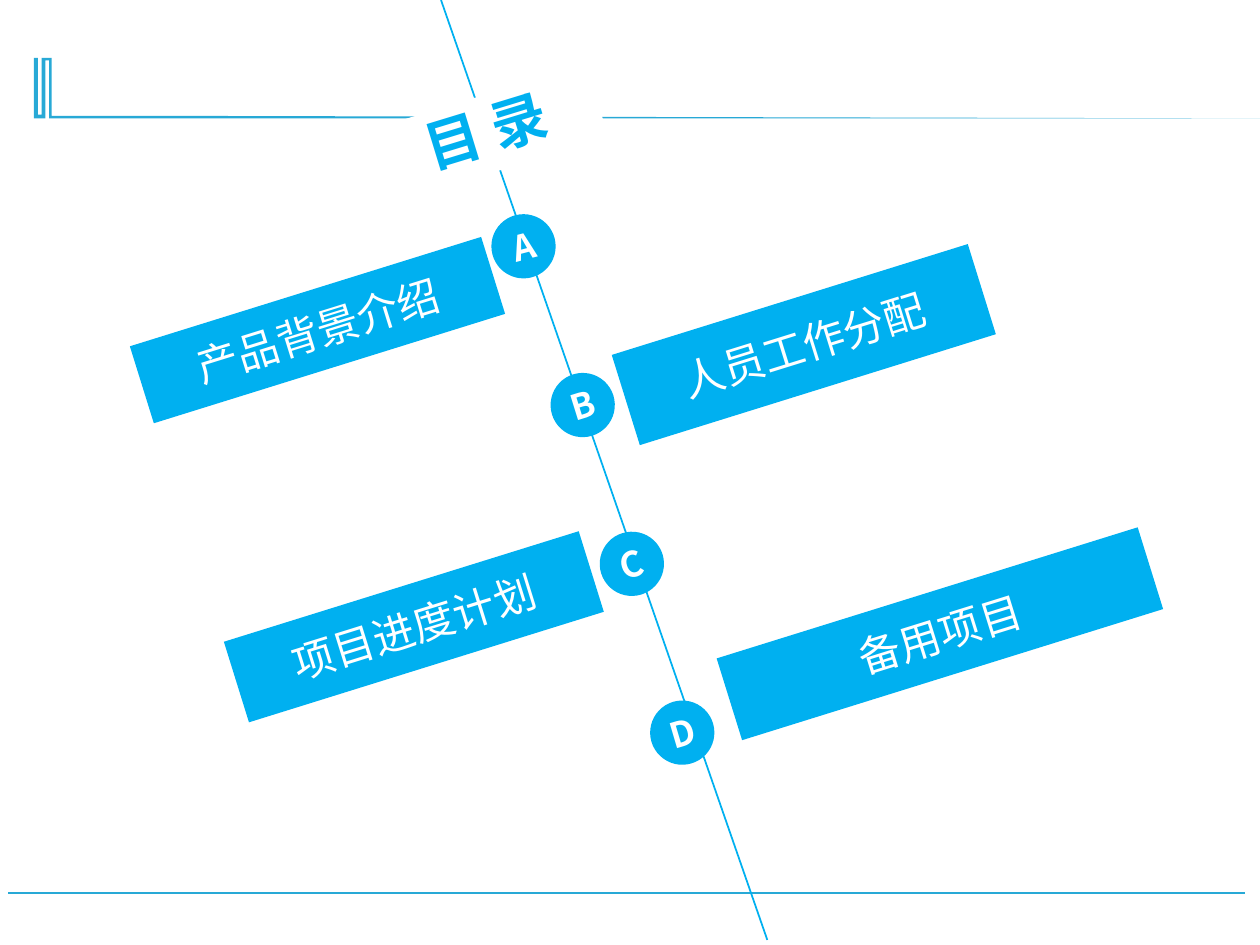
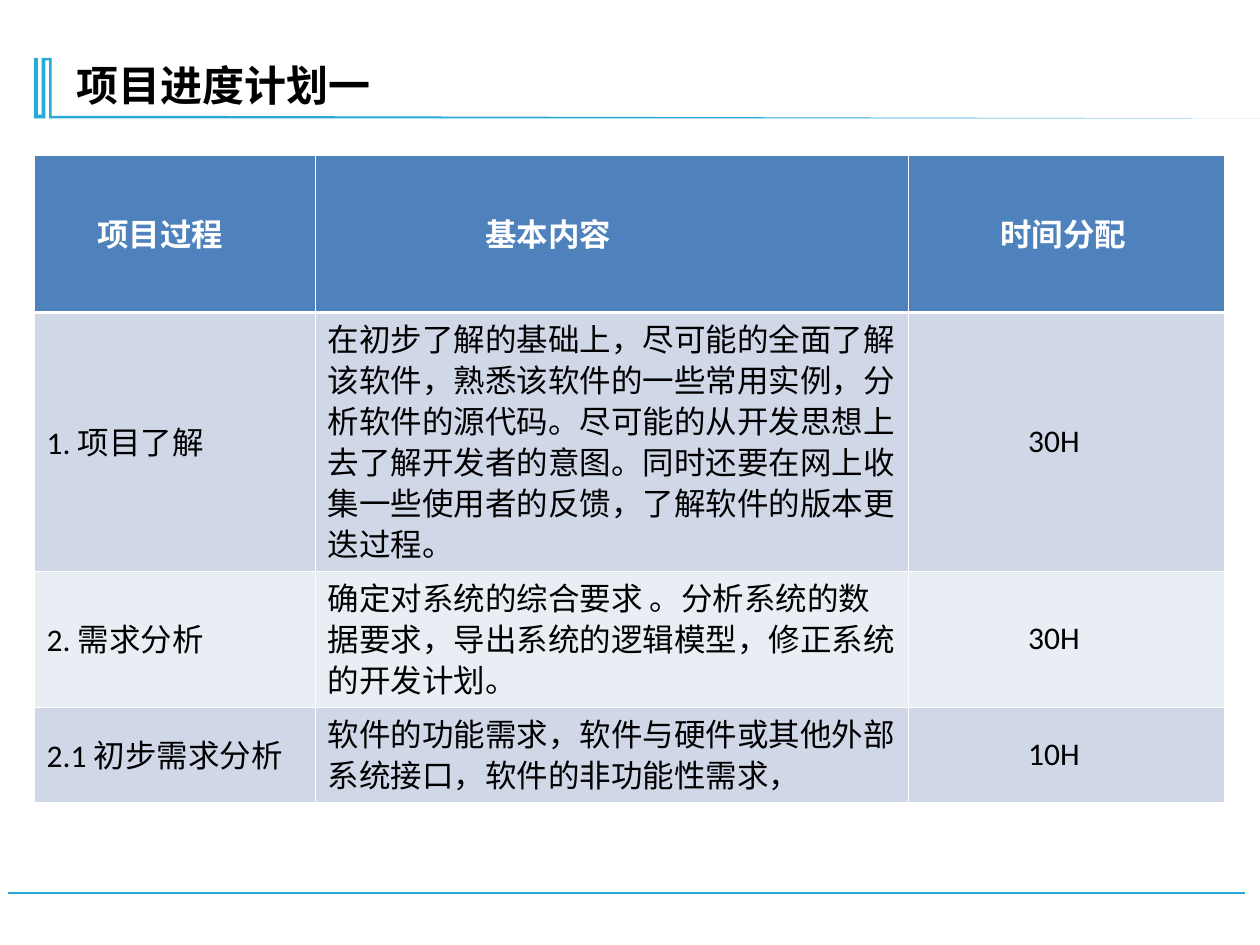
from lxml.etree import SubElement
from pptx import Presentation
from pptx.dml.color import RGBColor
from pptx.enum.shapes import MSO_CONNECTOR, MSO_SHAPE
from pptx.enum.text import MSO_ANCHOR, MSO_AUTO_SIZE, PP_ALIGN
from pptx.oxml.ns import qn
from pptx.util import Inches, Pt

CYAN, BAND, WHITE, BLACK = "00B0F0", "28A9D6", "FFFFFF", "000000"
HEADER, ROW_DARK, ROW_LIGHT = "4F81BD", "D0D8E8", "E9EDF4"
CJK, LATIN = "Noto Sans CJK SC", "Calibri"
TILT = 342.7

# Corner mark that runs into the tapering title rule
BAND_OUTLINE = [(0.27, 0.46), (0.3, 0.46), (0.3, 0.91), (0.33, 0.91), (0.33, 0.46),
                (0.41, 0.46), (0.41, 0.92), (1.4, 0.92), (10, 0.94), (0.39, 0.94),
                (0.39, 0.48), (0.36, 0.48), (0.36, 0.94), (0.27, 0.94)]


def rgb(value):
    return RGBColor.from_string(value)


class Deck:
    """Shared style and the current slide."""

    def __init__(self):
        self.prs = Presentation()
        self.prs.slide_width, self.prs.slide_height = Inches(10), Inches(7.5)
        self.s = None

    def new_slide(self):
        self.s = self.prs.slides.add_slide(self.prs.slide_layouts[5])
        self.line((9.88, 7.09), (0.06, 7.09), BAND, 1.25)
        points = [(Inches(x), Inches(y)) for x, y in BAND_OUTLINE]
        builder = self.s.shapes.build_freeform(*points[0])
        builder.add_line_segments(points[1:], close=True)
        self.paint(builder.convert_to_shape(), BAND)

    def paint(self, sp, color):
        sp.shadow.inherit = False
        sp.fill.solid()
        sp.fill.fore_color.rgb = rgb(color)
        sp.line.fill.background()

    def put_text(self, tf, text, size, color, bold=False, font=CJK,
                 align=PP_ALIGN.LEFT, spacing=None):
        tf.text = text
        p = tf.paragraphs[0]
        p.alignment = align
        if spacing:
            p.line_spacing = spacing
        for r in p.runs:
            r.font.size, r.font.bold, r.font.name = Pt(size), bold, font
            r.font.color.rgb = rgb(color)
            SubElement(r.font._element, qn("a:ea"), typeface=CJK)

    def line(self, start, end, color, width):
        cn = self.s.shapes.add_connector(
            MSO_CONNECTOR.STRAIGHT, *[Inches(v) for v in start + end])
        cn.line.color.rgb = rgb(color)
        cn.line.width = Pt(width)
        SubElement(cn.element.spPr, qn("a:effectLst"))

    def shape(self, kind, box, rotation, text, size, bold=False, inset=None):
        sp = self.s.shapes.add_shape(kind, *[Inches(v) for v in box])
        sp.rotation = rotation
        self.paint(sp, CYAN)
        tf = sp.text_frame
        tf.vertical_anchor = MSO_ANCHOR.MIDDLE
        if inset is not None:
            tf.margin_left = tf.margin_right = Inches(inset)
            tf.margin_top = tf.margin_bottom = Inches(inset)
        self.put_text(tf, text, size, WHITE, bold, align=PP_ALIGN.CENTER)

    def title(self, text, box, size, color, align=PP_ALIGN.LEFT, rotation=0):
        sp = self.s.shapes.title
        sp.left, sp.top, sp.width, sp.height = [Inches(v) for v in box]
        sp.rotation = rotation
        tf = sp.text_frame
        tf.word_wrap, tf.auto_size = True, MSO_AUTO_SIZE.NONE
        tf.vertical_anchor = MSO_ANCHOR.MIDDLE
        self.put_text(tf, text, size, color, True, align=align, spacing=0.9)
        return sp

    def borders(self, cell, widths):
        tcPr = cell._tc.get_or_add_tcPr()
        for side, width in zip("LRTB", widths):
            ln = SubElement(tcPr, qn(f"a:ln{side}"), w=str(int(Pt(width))))
            SubElement(SubElement(ln, qn("a:solidFill")), qn("a:srgbClr"), val=WHITE)

    def table(self, left, top, widths, heights, rows, header_insets, body_insets):
        table = self.s.shapes.add_table(
            len(rows), len(widths), Inches(left), Inches(top),
            Inches(sum(widths)), Inches(sum(heights))).table
        for column, width in zip(table.columns, widths):
            column.width = Inches(width)
        for i, (row, height) in enumerate(zip(rows, heights)):
            table.rows[i].height = Inches(height)
            head = i == 0
            fill = HEADER if head else (ROW_DARK if i % 2 else ROW_LIGHT)
            insets = header_insets if head else body_insets
            thick_top, thick_bottom = (1.47 if i == n else 0.45 for n in (1, 0))
            for j, (text, inset) in enumerate(zip(row, insets)):
                cell = table.cell(i, j)
                self.borders(cell, (0.45, 0.45, thick_top, thick_bottom))
                cell.fill.solid()
                cell.fill.fore_color.rgb = rgb(fill)
                cell.vertical_anchor = MSO_ANCHOR.MIDDLE
                cell.margin_left = Inches(inset)
                self.put_text(cell.text_frame, text, 18, WHITE if head else BLACK,
                              head, LATIN, spacing=0.9)


def contents_slide(deck):
    deck.new_slide()

    # Chapter bars
    for text, box in [("项目进度计划", (1.81, 4.64, 2.95, 0.67)),
                      ("产品背景介绍", (1.06, 2.3, 2.92, 0.64)),
                      ("备用项目", (5.71, 4.69, 3.5, 0.68)),
                      ("人员工作分配", (4.9, 2.36, 2.96, 0.75))]:
        deck.shape(MSO_SHAPE.RECTANGLE, box, TILT, text, 24)

    # Slanted axis with lettered markers
    deck.line((3.5, 0), (6.09, 7.46), CYAN, 1)
    for letter, x, y, rotation in [("A", 3.9, 1.7, 345.4), ("B", 4.37, 2.96, TILT),
                                   ("C", 4.76, 4.22, TILT), ("D", 5.16, 5.56, 343.4)]:
        deck.shape(MSO_SHAPE.OVAL, (x, y, 0.51, 0.51), rotation, letter, 20, True, 0)

    # Tilted title, in front of the axis and the band
    sp = deck.title("目 录", (2.95, 0.76, 1.83, 0.61), 32, CYAN, PP_ALIGN.CENTER, 343)
    deck.paint(sp, WHITE)
    deck.s.shapes.element.append(sp.element)


def schedule_slide(deck):
    deck.new_slide()
    deck.title("项目进度计划一", (0.51, 0.44, 3.31, 0.51), 24, BLACK)

    # Schedule table
    rows = [
        ("项目过程", "基本内容", "时间分配"),
        ("1. 项目了解",
         "在初步了解的基础上，尽可能的全面了解该软件，熟悉该软件的一些常用实例，"
         "分析软件的源代码。尽可能的从开发思想上去了解开发者的意图。"
         "同时还要在网上收集一些使用者的反馈，了解软件的版本更迭过程。", "30H"),
        ("2. 需求分析",
         "确定对系统的综合要求 。分析系统的数据要求，导出系统的逻辑模型，"
         "修正系统的开发计划。", "30H"),
        ("2.1 初步需求分析",
         "软件的功能需求，软件与硬件或其他外部系统接口，软件的非功能性需求，", "10H"),
    ]
    deck.table(0.27, 1.23, (2.23, 4.71, 2.51), (1.25, 1.95, 1.03, 0.76), rows,
               header_insets=(0.5, 1.35, 0.73), body_insets=(0.1, 0.1, 0.95))


def main():
    deck = Deck()
    contents_slide(deck)
    schedule_slide(deck)
    deck.prs.save("out.pptx")


if __name__ == "__main__":
    main()
